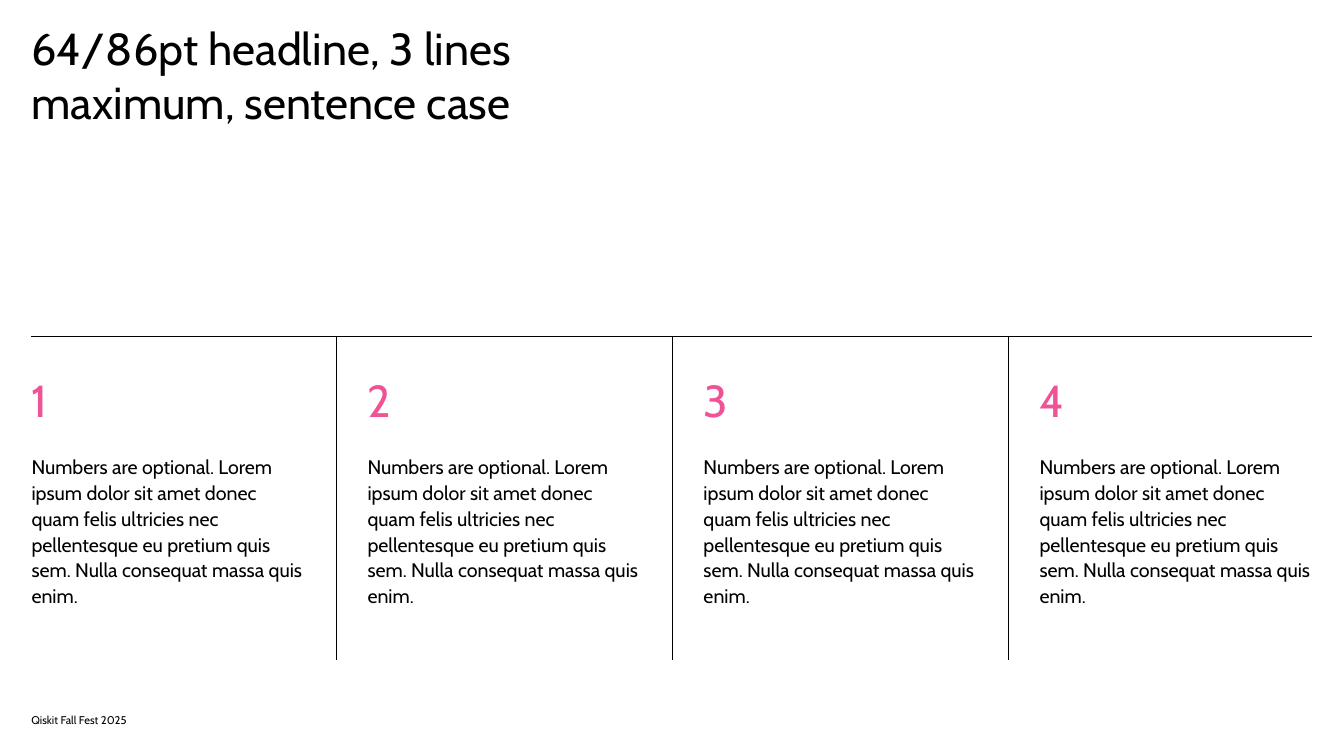
from lxml.etree import SubElement
from pptx import Presentation
from pptx.dml.color import RGBColor
from pptx.enum.shapes import MSO_CONNECTOR
from pptx.enum.text import MSO_ANCHOR, MSO_AUTO_SIZE, PP_ALIGN
from pptx.oxml.ns import qn
from pptx.util import Pt

PX = 9525
WIDTH, HEIGHT = 2560, 1440
MARGIN = 60
RULE_TOP = 640
COLUMN_COUNT = 4
COLUMN_PITCH = WIDTH // COLUMN_COUNT
COLUMN_WIDTH = 520
FONT = "Cabin"
BLACK, PINK = "000000", "EE5396"
BODY = ("Numbers are optional. Lorem ipsum dolor sit amet donec quam felis "
        "ultricies nec pellentesque eu pretium quis sem. Nulla consequat "
        "massa quis enim.")


def color(value):
    return RGBColor.from_string(value)


def place(shape, left, top, width, height):
    shape.left, shape.top = left * PX, top * PX
    shape.width, shape.height = width * PX, height * PX


def prepare_frame(shape, anchor=MSO_ANCHOR.TOP, right_inset=0):
    frame = shape.text_frame
    frame.word_wrap = True
    frame.auto_size = MSO_AUTO_SIZE.NONE
    frame.vertical_anchor = anchor
    frame.margin_left = frame.margin_top = frame.margin_bottom = 0
    frame.margin_right = right_inset * PX
    return frame


def format_paragraph(paragraph, size, value=BLACK):
    paragraph.alignment = PP_ALIGN.LEFT
    for run in paragraph.runs:
        run.font.name = FONT
        run.font.size = Pt(size)
        run.font.bold = False
        run.font.color.rgb = color(value)


def remove_bullet(paragraph):
    properties = paragraph._p.get_or_add_pPr()
    properties.set("marL", "0")
    properties.set("indent", "0")
    SubElement(properties, qn("a:buNone"))


def add_rule(slide, x1, y1, x2, y2):
    rule = slide.shapes.add_connector(
        MSO_CONNECTOR.STRAIGHT, x1 * PX, y1 * PX, x2 * PX, y2 * PX)
    rule.line.color.rgb = color(BLACK)
    rule.line.width = Pt(1)
    SubElement(rule._element.spPr, qn("a:effectLst"))


def fill_title(title, left, top, width, height):
    place(title, left, top, width, height)
    frame = prepare_frame(title, right_inset=48)
    frame.text = "64/86pt headline, 3 lines maximum, sentence case"
    format_paragraph(frame.paragraphs[0], 64)


def fill_column(body, number, left, top, width, height):
    place(body, left, top, width, height)
    frame = prepare_frame(body)
    frame.text = f"{number}\n{BODY}"
    styles = ((64, PINK, 0), (28, BLACK, 37))
    for paragraph, (size, value, space) in zip(frame.paragraphs, styles):
        remove_bullet(paragraph)
        paragraph.line_spacing = 1.1
        paragraph.space_before = Pt(space)
        format_paragraph(paragraph, size, value)


def add_footer(slide, left, top, width, height):
    footer = slide.shapes.add_textbox(0, 0, 0, 0)
    place(footer, left, top, width, height)
    frame = prepare_frame(footer, MSO_ANCHOR.BOTTOM)
    frame.text = "Qiskit Fall Fest 2025"
    format_paragraph(frame.paragraphs[0], 16)


def main():
    presentation = Presentation()
    presentation.slide_width = WIDTH * PX
    presentation.slide_height = HEIGHT * PX
    comparison_layout = presentation.slide_layouts[4]
    slide = presentation.slides.add_slide(comparison_layout)
    title, *bodies = slide.placeholders

    fill_title(title, MARGIN, 40, 1160, 480)
    add_rule(slide, MARGIN, RULE_TOP, WIDTH - MARGIN, RULE_TOP)
    for index, body in enumerate(bodies):
        column_left = index * COLUMN_PITCH
        fill_column(body, index + 1, column_left + MARGIN, 700,
                    COLUMN_WIDTH, 562)
        if index:
            add_rule(slide, column_left, RULE_TOP, column_left, 1257)
    add_footer(slide, MARGIN, 1344, COLUMN_WIDTH, 40)

    presentation.save("out.pptx")


if __name__ == "__main__":
    main()
